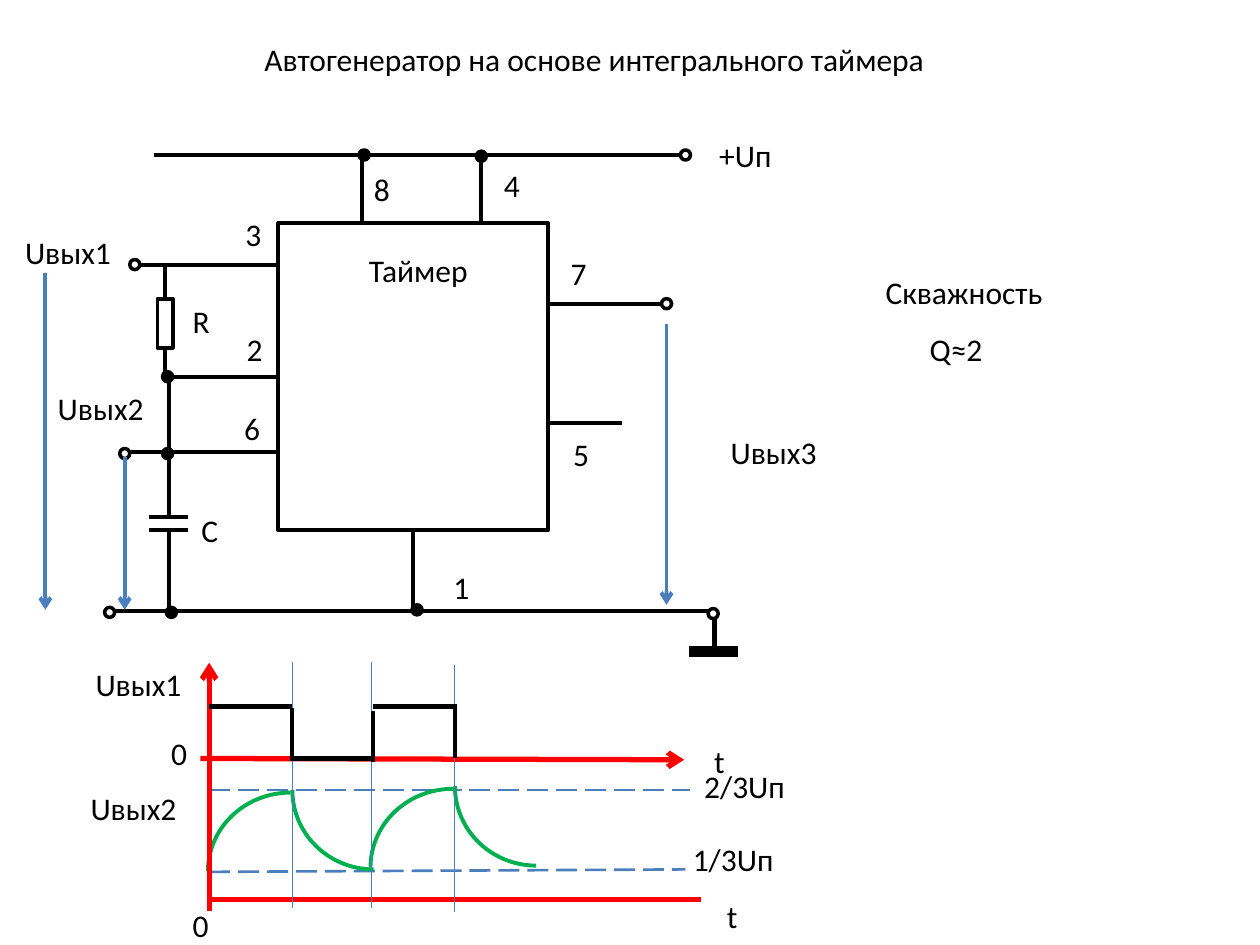
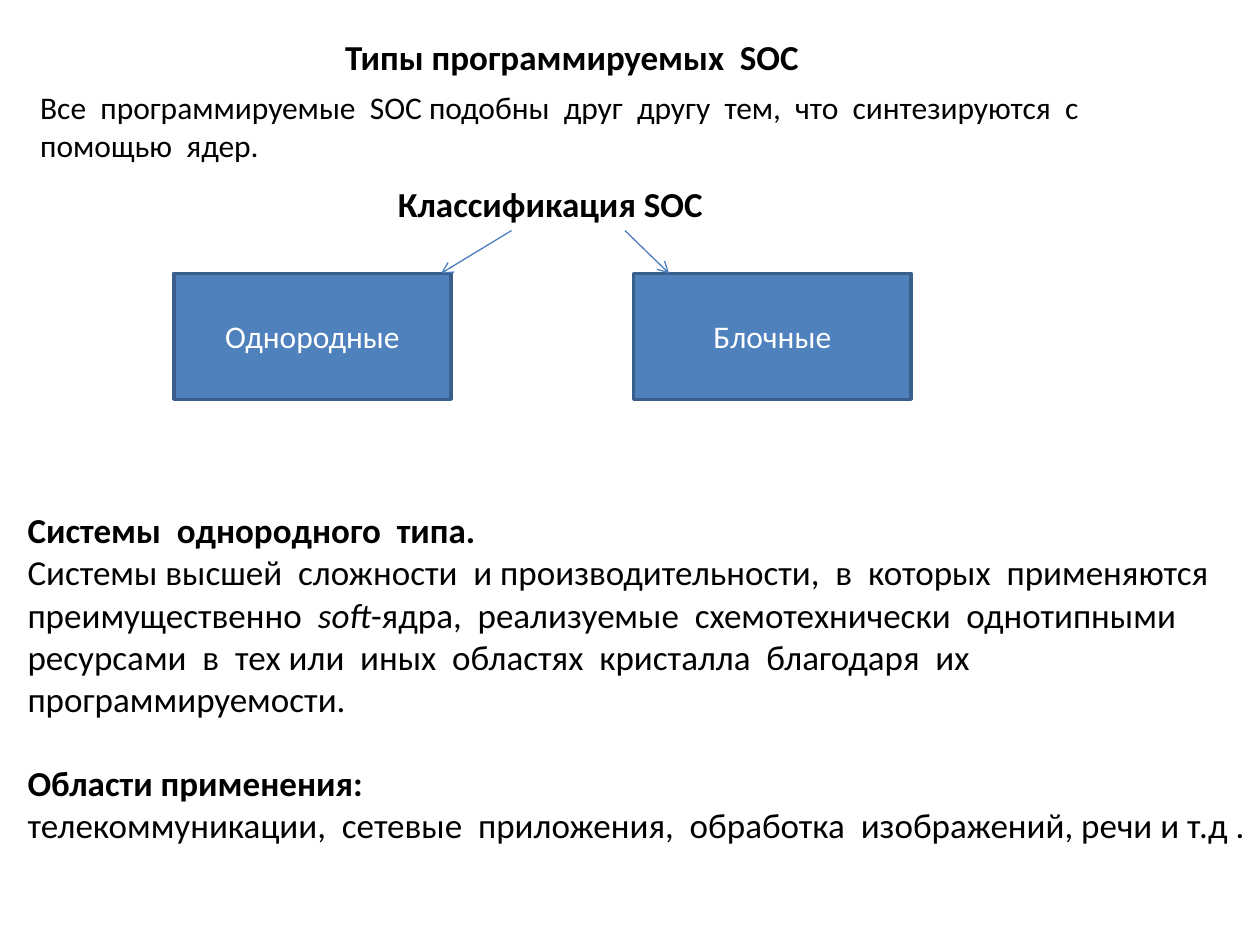
"""Build two slides: a timer oscillator circuit and the types of SOC."""
from lxml.etree import SubElement
from pptx import Presentation
from pptx.dml.color import RGBColor
from pptx.enum.dml import MSO_LINE
from pptx.enum.shapes import MSO_CONNECTOR, MSO_SHAPE
from pptx.enum.text import MSO_ANCHOR, MSO_AUTO_SIZE, PP_ALIGN
from pptx.oxml.ns import qn
from pptx.util import Emu, Pt

FONT = "Calibri"
BLACK = RGBColor(0x00, 0x00, 0x00)
WHITE = RGBColor(0xFF, 0xFF, 0xFF)
RED = RGBColor(0xFF, 0x00, 0x00)
GREEN = RGBColor(0x00, 0xB0, 0x50)
BLUE = RGBColor(0x4B, 0x7E, 0xBC)
BOX_FILL = RGBColor(0x4F, 0x81, 0xBD)
BOX_LINE = RGBColor(0x3A, 0x5F, 0x8C)
DOT = 8
LABEL_HEIGHT = 40
TOP, LEFT, BOTTOM = 0, 1, 2


def px(length):
    """Turn px into EMU, with 100 px to the inch."""
    return Emu(length * 9144)


def add_span(para, text, *, size=18, bold=False, italic=False, color=BLACK):
    """Add formatted text to a paragraph."""
    span = para.add_run()
    span.text = text
    font = span.font
    font.name, font.size = FONT, Pt(size)
    font.bold, font.italic = bold, italic
    font.color.rgb = color
    return span


def add_box(page, left, top, width, height, *, wrap=False):
    """Add an empty text box and return its frame."""
    box = page.shapes.add_textbox(px(left), px(top), px(width), px(height))
    frame = box.text_frame
    frame.word_wrap = wrap
    frame.auto_size = MSO_AUTO_SIZE.SHAPE_TO_FIT_TEXT
    return frame


def add_label(page, text, left, top, width, height=LABEL_HEIGHT, *, wrap=False, **style):
    """Add a text box holding one paragraph."""
    frame = add_box(page, left, top, width, height, wrap=wrap)
    add_span(frame.paragraphs[0], text, **style)


def add_labels(page, labels):
    """Add labels given as text, left, top and width."""
    for label in labels:
        add_label(page, *label)


def add_figure(page, kind, left, top, width, height, *, fill=None, line=BLACK,
               weight=2.25, rotation=0):
    """Add a preset shape."""
    figure = page.shapes.add_shape(kind, px(left), px(top), px(width), px(height))
    figure.shadow.inherit = False
    figure.rotation = rotation
    if fill is None:
        figure.fill.background()
    else:
        figure.fill.solid()
        figure.fill.fore_color.rgb = fill
    figure.line.color.rgb = line
    figure.line.width = Pt(weight)
    return figure


def add_dots(page, fill, places):
    """Add a small circle at each place: filled for a node, open for a terminal."""
    for left, top in places:
        add_figure(page, MSO_SHAPE.OVAL, left, top, DOT, DOT, fill=fill, weight=2)


def add_line(page, x1, y1, x2, y2, *, color=BLACK, weight=2.25, dash=None, arrow=False):
    """Add a straight line, with an arrowhead at its end if asked."""
    line = page.shapes.add_connector(
        MSO_CONNECTOR.STRAIGHT, px(x1), px(y1), px(x2), px(y2))
    line.line.color.rgb = color
    line.line.width = Pt(weight)
    if dash is not None:
        line.line.dash_style = dash
    properties = line.element.spPr
    if arrow:
        SubElement(properties.find(qn("a:ln")), qn("a:tailEnd"), type="arrow")
    SubElement(properties, qn("a:effectLst"))
    return line


def add_lines(page, lines, **style):
    """Add several lines of one style."""
    for ends in lines:
        add_line(page, *ends, **style)


def add_circuit(page):
    """Draw the timer with its wires, parts and pin numbers."""
    chip = add_figure(page, MSO_SHAPE.RECTANGLE, 221, 177, 214, 244)
    resistor = add_figure(page, MSO_SHAPE.RECTANGLE, 125, 237, 12, 39)
    add_lines(page, [
        (435, 241, 531, 241),
        (435, 336, 494, 336),
        (83, 485, 567, 485),
        (122, 123, 547, 123),
        (287, 123, 287, 177),
        (382, 123, 382, 177),
        (106, 210, 221, 210),
        (98, 359, 221, 359),
        (118, 410, 149, 410),
        (118, 421, 149, 421),
        (134, 299, 134, 410),
        (134, 421, 134, 485),
    ])
    add_line(page, 131, 299, 221, 299).end_connect(chip, LEFT)
    add_line(page, 328, 421, 328, 485).begin_connect(chip, BOTTOM)
    add_line(page, 131, 210, 131, 237).end_connect(resistor, TOP)
    add_line(page, 131, 276, 131, 299).begin_connect(resistor, BOTTOM)
    add_line(page, 547, 517, 586, 517, weight=6)
    add_line(page, 567, 485, 567, 517, weight=3)
    add_dots(page, WHITE, [(83, 482), (103, 206), (525, 237), (540, 119),
                           (562, 483), (95, 356)])
    add_dots(page, BLACK, [(129, 295), (129, 356), (132, 482), (327, 480),
                           (378, 120), (285, 119)])
    add_lines(page, [
        (529, 257, 529, 480),
        (99, 363, 99, 484),
        (36, 217, 36, 484),
    ], color=BLUE, arrow=True)
    add_labels(page, [
        ("1", 350, 446, 33),
        ("5", 445, 340, 33),
        ("7", 443, 197, 33),
        ("4", 390, 127, 33),
        ("8", 287, 130, 33),
        ("3", 185, 166, 33),
        ("2", 186, 257, 33),
        ("6", 184, 320, 33),
        ("Uвых3", 570, 339, 89),
        ("Uвых1", 10, 180, 89),
        ("Uвых2", 36, 304, 89),
        ("R", 143, 235, 34),
        ("С", 150, 401, 34),
        ("+Uп", 561, 103, 62),
        ("Таймер", 283, 194, 99),
    ])


def add_waveforms(page):
    """Draw the output voltages against time."""
    add_line(page, 164, 714, 556, 714, color=RED, weight=3)
    add_lines(page, [(166, 692, 544, 690), (166, 627, 548, 627)],
              color=BLUE, weight=1.5, dash=MSO_LINE.LONG_DASH)
    add_line(page, 159, 602, 543, 603, color=RED, weight=3, arrow=True)
    for left, top, width, height, rotation in [
        (168, 626, 125, 131, 270),
        (232, 564, 129, 126, 180),
        (297, 623, 125, 131, 270),
        (361, 561, 129, 126, 180),
    ]:
        add_figure(page, MSO_SHAPE.ARC, left, top, width, height,
                   line=GREEN, rotation=rotation)
    for x, top in [(232, 525), (295, 525), (361, 528)]:
        add_line(page, x, top, x, top + 196, color=BLUE, weight=0.75)
    add_line(page, 166, 723, 166, 526, color=RED, weight=3, arrow=True)
    add_lines(page, [
        (166, 561, 232, 561),
        (230, 602, 297, 602),
        (296, 561, 363, 561),
    ], weight=3)
    for x, top in [(361, 561), (296, 564), (232, 562)]:
        add_line(page, x, top, x, top + 41)
    add_labels(page, [
        ("t", 567, 707, 29),
        ("Uвых1", 66, 523, 89),
        ("Uвых2", 62, 621, 89),
        ("t", 557, 584, 29),
        ("1/3Uп", 540, 662, 85),
        ("2/3Uп", 549, 604, 85),
        ("0", 143, 714, 33),
        ("0", 126, 578, 33),
    ])


def build_timer_slide(page):
    """Fill the slide on the timer oscillator."""
    add_circuit(page)
    add_waveforms(page)
    add_labels(page, [
        ("Автогенератор на основе интегрального таймера", 200, 27, 550),
        ("Скважность", 693, 212, 146),
        ("Q≈2", 728, 257, 63),
    ])


def add_class_box(page, text, left):
    """Add a filled box naming one class of SOC."""
    box = add_figure(page, MSO_SHAPE.RECTANGLE, left, 217, 220, 100,
                     fill=BOX_FILL, line=BOX_LINE, weight=2)
    box.text_frame.vertical_anchor = MSO_ANCHOR.MIDDLE
    para = box.text_frame.paragraphs[0]
    para.alignment = PP_ALIGN.CENTER
    add_span(para, text, color=WHITE)


def add_description(page):
    """Add the text on systems of the uniform type."""
    frame = add_box(page, 12, 399, 988, 279, wrap=True)
    add_span(frame.paragraphs[0], "Системы  однородного  типа.", size=20, bold=True)
    para = frame.add_paragraph()
    add_span(para, "Системы высшей  сложности  и производительности,  в  которых  "
             "применяются  преимущественно  ", size=20)
    add_span(para, "soft", size=20, italic=True)
    add_span(para, "-ядра,  реализуемые  схемотехнически  однотипными  ресурсами  "
             "в  тех или  иных  областях  кристалла  благодаря  их "
             "программируемости.", size=20)
    para = frame.add_paragraph()
    para.space_before = Pt(24)
    add_span(para, "Области применения:", size=20, bold=True)
    add_span(frame.add_paragraph(), "телекоммуникации,  сетевые  приложения,  "
             "обработка  изображений, речи и т.д .", size=20)


def build_soc_slide(page):
    """Fill the slide on the types of SOC."""
    add_description(page)
    add_label(page, "Типы программируемых  SOC", 264, 23, 465, 44,
              wrap=True, size=20, bold=True)
    add_label(page, "Все  программируемые  SOC подобны  друг  другу  тем,  что  "
              "синтезируются  с  помощью  ядер.", 22, 65, 949, 71, wrap=True)
    add_label(page, "Классификация SOC", 306, 140, 264, 44, size=20, bold=True)
    add_class_box(page, "Однородные", 138)
    add_class_box(page, "Блочные", 503)
    add_lines(page, [(406, 183, 350, 217), (496, 183, 531, 217)],
              color=BLUE, weight=0.75, arrow=True)


def main():
    """Build the deck and save it."""
    deck = Presentation()
    deck.slide_width, deck.slide_height = px(1000), px(750)
    blank = deck.slide_layouts[6]
    for build in (build_timer_slide, build_soc_slide):
        build(deck.slides.add_slide(blank))
    deck.save("out.pptx")


if __name__ == "__main__":
    main()
